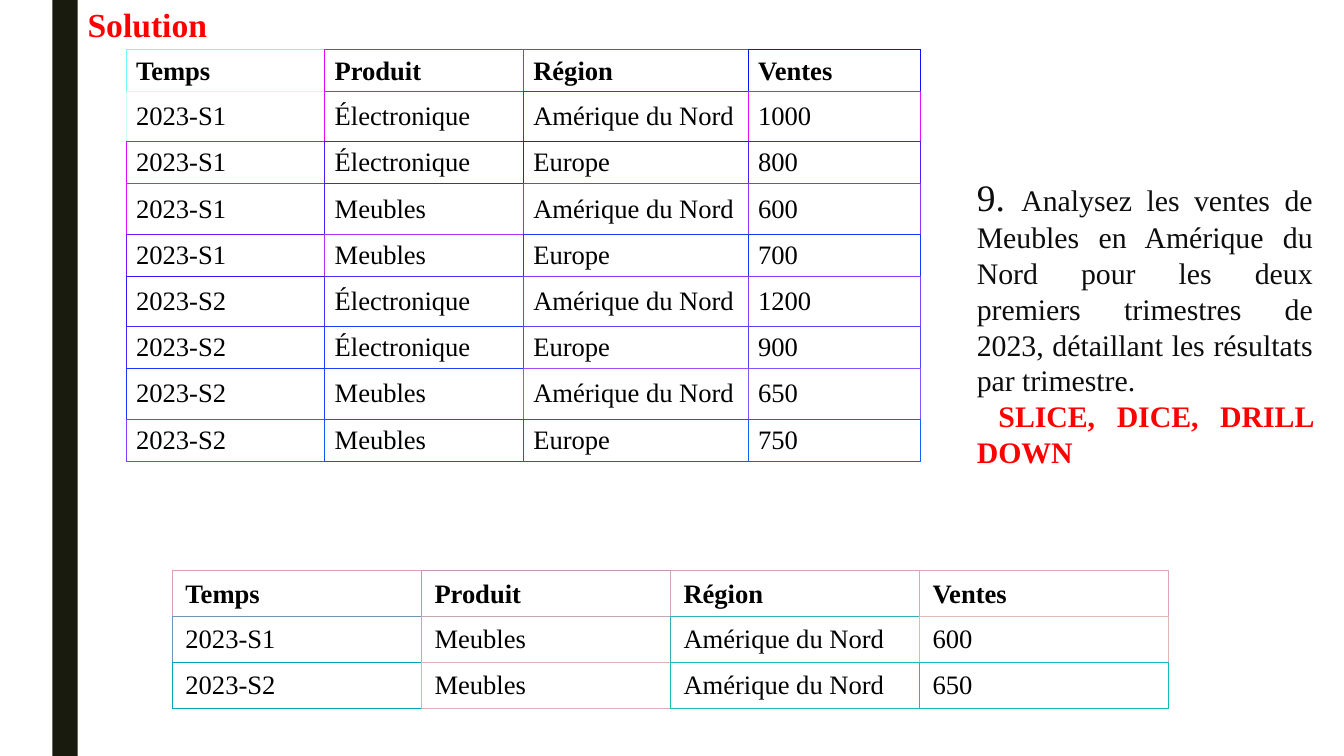
"""Build the slide on slicing, dicing and drilling down sales data."""
import pptx
import pptx.dml.color
import pptx.enum.shapes
import pptx.enum.text
import pptx.oxml
import pptx.oxml.ns
import pptx.util

Inches = pptx.util.Inches
FONT = "Times New Roman"
INK = {"bar": "191B0E", "red": "FF0000", "text": "0D0D0D",
       "cell": "000000", "white": "FFFFFF"}
HEAD = ["Temps", "Produit", "Région", "Ventes"]
NORTH = "Amérique du Nord"
SALES = [
    HEAD,
    ["2023-S1", "Électronique", NORTH, "1000"],
    ["2023-S1", "Électronique", "Europe", "800"],
    ["2023-S1", "Meubles", NORTH, "600"],
    ["2023-S1", "Meubles", "Europe", "700"],
    ["2023-S2", "Électronique", NORTH, "1200"],
    ["2023-S2", "Électronique", "Europe", "900"],
    ["2023-S2", "Meubles", NORTH, "650"],
    ["2023-S2", "Meubles", "Europe", "750"],
]
RESULT = [HEAD] + [row for row in SALES if row[1:3] == ["Meubles", NORTH]]
SALES_EDGES = [
    ["70FAF9", "E005FA", "E005FA", "100FFA"],
    ["D0FAF9", "E008FA", "7015FA", "E011FA"],
    ["E008FA", "4021FA", "1024FA", "501DFA"],
    ["E011FA", "4021FA", "902EFA", "9031FA"],
    ["7015FA", "B02FFA", "2038FA", "1039FA"],
    ["3016FA", "4033FA", "803EFA", "8041FA"],
    ["4027FA", "2038FA", "6043FA", "5047FA"],
    ["2032FA", "2041FA", "A04EFA", "8056FA"],
    ["803EFA", "1054FA", "2050FA", "1060FA"],
]
RESULT_EDGES = [
    ["E09DB5", "C096B5", "D0A4B5", "E0A6B5"],
    ["7095B5", "C0A8B5", "30B1B5", "E0B8B5"],
    ["00A2B5", "E0AFB5", "20BBB5", "10BDB4"],
]


def rgb(name):
    return pptx.dml.color.RGBColor.from_string(INK[name])


def style(run, size, ink, bold=False):
    run.font.name = FONT
    run.font.size = pptx.util.Pt(size)
    run.font.bold = bold
    run.font.color.rgb = rgb(ink)


def add_bar(slide):
    bar = slide.shapes.add_shape(
        pptx.enum.shapes.MSO_SHAPE.RECTANGLE,
        Inches(0.52), 0, Inches(0.25), Inches(7.5))
    bar.shadow.inherit = False
    bar.fill.solid()
    bar.fill.fore_color.rgb = rgb("bar")
    bar.line.fill.background()


def add_text(slide, place, paras, wrap=True):
    box = slide.shapes.add_textbox(*map(Inches, place))
    frame = box.text_frame
    frame.word_wrap = wrap
    for i, parts in enumerate(paras):
        para = frame.add_paragraph() if i else frame.paragraphs[0]
        if wrap:
            para.alignment = pptx.enum.text.PP_ALIGN.JUSTIFY
        for text, *look in parts:
            run = para.add_run()
            run.text = text
            style(run, *look)


def set_edge(cell, side, color, width):
    space = pptx.oxml.ns.nsdecls("a")
    cell._tc.get_or_add_tcPr().append(pptx.oxml.parse_xml(
        f'<a:ln{side} {space} w="{pptx.util.Pt(width)}"><a:solidFill>'
        f'<a:srgbClr val="{color}"/></a:solidFill></a:ln{side}>'))


def add_edges(cell, edges, r, c):
    """Draw left and top in the cell's own colour, the rest in its neighbours'."""
    last = len(edges) - 1
    own = edges[r][c]
    set_edge(cell, "L", own, 0.75)
    set_edge(cell, "R", edges[r][min(c + 1, len(edges[r]) - 1)], 0.75)
    set_edge(cell, "T", own, 1 if r else 0.75)
    set_edge(cell, "B", edges[min(r + 1, last)][c], 1 if r < last else 0.75)


def fill_cell(cell, text, head, pad, fill):
    anchor = pptx.enum.text.MSO_ANCHOR
    cell.vertical_anchor = anchor.BOTTOM if head else anchor.MIDDLE
    cell.margin_left = cell.margin_right = Inches(pad[0])
    cell.margin_top = cell.margin_bottom = Inches(pad[1])
    cell.text_frame.text = text
    style(cell.text_frame.paragraphs[0].runs[0], 19, "cell", head)
    if fill:
        cell.fill.solid()
        cell.fill.fore_color.rgb = rgb(fill)
    else:
        cell.fill.background()


def add_grid(slide, left, top, cols, rows, data, edges, pad, fill=None):
    table = slide.shapes.add_table(
        len(rows), len(cols), Inches(left), Inches(top),
        Inches(sum(cols)), Inches(sum(rows))).table
    table.first_row = table.horz_banding = False
    for c, width in enumerate(cols):
        table.columns[c].width = Inches(width)
    for r, height in enumerate(rows):
        table.rows[r].height = Inches(height)
        for c, text in enumerate(data[r]):
            cell = table.cell(r, c)
            add_edges(cell, edges, r, c)
            fill_cell(cell, text, r == 0, pad, fill)


def main():
    deck = pptx.Presentation()
    deck.slide_width, deck.slide_height = Inches(13.33), Inches(7.5)
    slide = deck.slides.add_slide(deck.slide_layouts[6])
    add_bar(slide)
    add_text(slide, (0.77, -0.01, 1.48, 0.5),
             [[("Solution", 24, "red", True)]], wrap=False)
    add_grid(slide, 1.25, 0.49, [1.97, 1.97, 2.23, 1.71],
             [0.5 if r % 2 else 0.41 for r in range(len(SALES))],
             SALES, SALES_EDGES, (0.1, 0.05))
    add_text(slide, (9.59, 1.68, 3.53, 4.14), [
        [("9. ", 26.7, "text"),
         ("Analysez les ventes de Meubles en Amérique du Nord pour les deux "
          "premiers trimestres de 2023, détaillant les résultats par "
          "trimestre.", 21.3, "text")],
        [(" ", 21.3, "text"),
         ("SLICE, DICE, DRILL DOWN", 21.3, "red", True)],
    ])
    add_grid(slide, 1.71, 5.66, [2.47] * 4, [0.45] * 3,
             RESULT, RESULT_EDGES, (0.13, 0.07), "white")
    deck.save("out.pptx")


if __name__ == "__main__":
    main()
